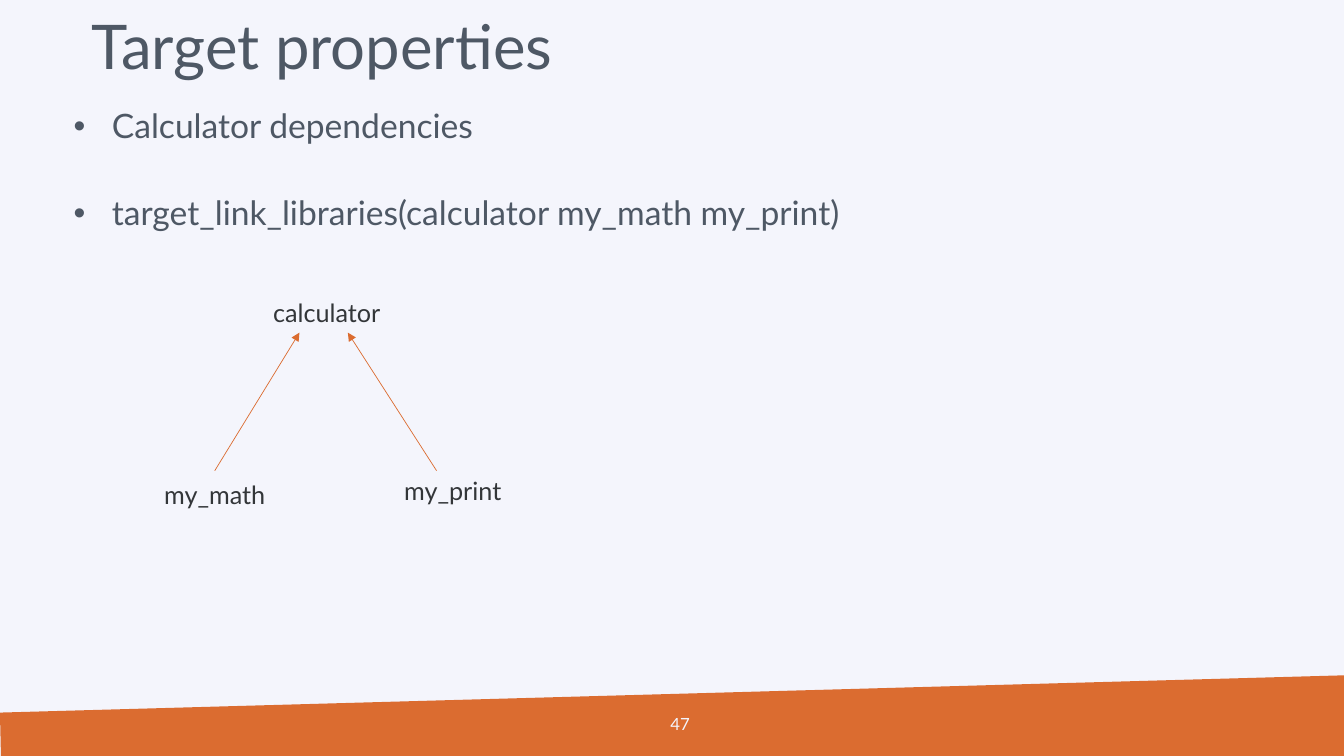
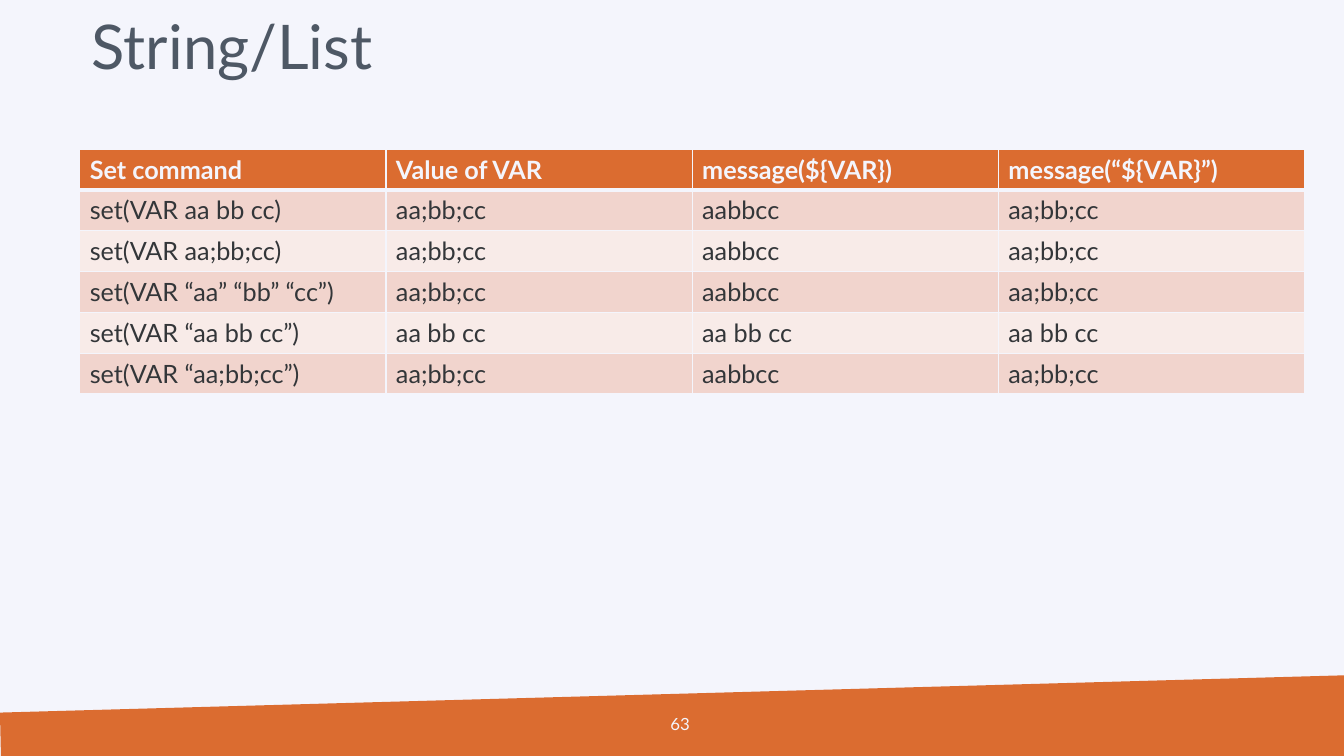
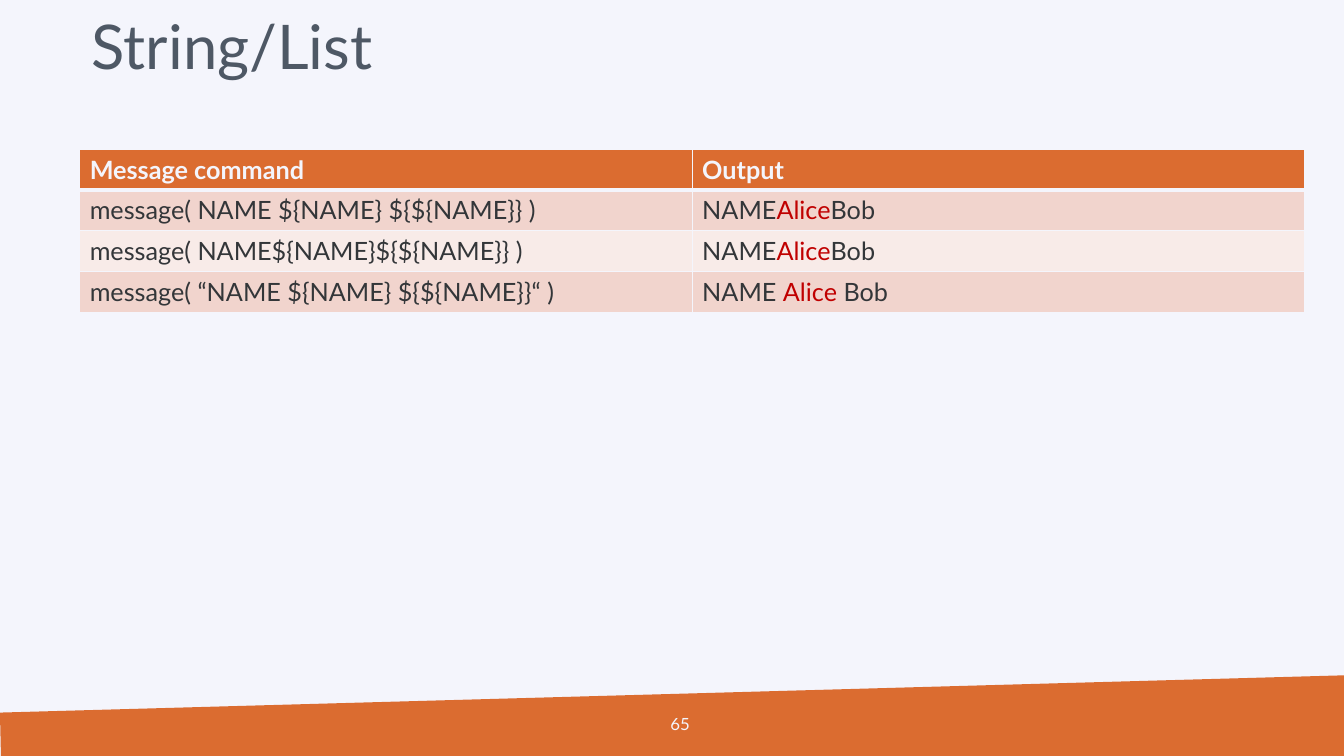
from pptx import Presentation
from pptx.dml.color import RGBColor
from pptx.enum.text import MSO_ANCHOR, MSO_AUTO_SIZE, PP_ALIGN
from pptx.enum.shapes import MSO_CONNECTOR
from pptx.oxml.ns import qn
from pptx.util import Inches, Pt
from lxml.etree import SubElement

FONT = "Lato"
PALE, ORANGE, SLATE, INK, RED = "F4F5FC", "DB6C30", "4E5865", "333639", "C00000"
BANDS = "F1D4CD", "F8EBE8"


def color(code):
    return RGBColor.from_string(code)


def place(shape, left, top, width, height):
    shape.left, shape.top = Inches(left), Inches(top)
    shape.width, shape.height = Inches(width), Inches(height)


def style(par, size, code, bold=False):
    for run in par.runs:
        run.font.name, run.font.size, run.font.bold = FONT, Pt(size), bold
        run.font.color.rgb = color(code)


def border(cell, tops, ends):
    """Line all four sides; tops and ends are the upper and lower widths."""
    props = cell._tc.get_or_add_tcPr()
    for side, width in ("lnL", 1), ("lnR", 1), ("lnT", tops), ("lnB", ends):
        line = SubElement(props, qn("a:" + side), w=str(Pt(width)))
        fill = SubElement(line, qn("a:solidFill"))
        SubElement(fill, qn("a:srgbClr"), val=PALE)


class Deck:
    def __init__(self):
        self.prs = Presentation()
        self.prs.slide_width, self.prs.slide_height = Inches(13.33), Inches(7.5)
        back = self.prs.slide_master.background.fill
        back.solid()
        back.fore_color.rgb = color(PALE)

    def add(self, title, page, layout=5):
        """Start a slide with its band, title and page number."""
        self.slide = self.prs.slides.add_slide(self.prs.slide_layouts[layout])
        self.shapes = self.slide.shapes
        self.band()
        head = self.shapes.title
        place(head, 0.81, 0, 11.5, 0.98)
        frame = head.text_frame
        frame.text = title
        frame.vertical_anchor = MSO_ANCHOR.MIDDLE
        frame.auto_size = MSO_AUTO_SIZE.NONE
        par = frame.paragraphs[0]
        par.alignment, par.line_spacing = PP_ALIGN.LEFT, 0.9
        style(par, 44, SLATE)
        num = self.label(str(page), 6.39, 6.98, 0.55, 12, PALE)
        num.vertical_anchor = MSO_ANCHOR.MIDDLE
        num.paragraphs[0].alignment = PP_ALIGN.RIGHT

    def band(self):
        pen = self.shapes.build_freeform(0, Inches(7.07), scale=1.0)
        points = (13.33, 6.7), (13.33, 7.5), (0.01, 7.5)
        pen.add_line_segments([(Inches(x), Inches(y)) for x, y in points])
        band = pen.convert_to_shape()
        band.shadow.inherit = False
        band.fill.solid()
        band.fill.fore_color.rgb = color(ORANGE)
        band.line.fill.background()

    def label(self, text, left, top, width=2.42, size=18, code=INK):
        box = self.shapes.add_textbox(0, 0, 0, 0)
        place(box, left, top, width, 0.4)
        frame = box.text_frame
        frame.word_wrap = True
        frame.text = text
        style(frame.paragraphs[0], size, code)
        return frame

    def bullets(self, items, gap):
        body = self.slide.placeholders[1]
        place(body, 0.3, 1.09, 12.59, 5.84)
        frame = body.text_frame
        frame.auto_size = MSO_AUTO_SIZE.NONE
        frame.margin_left = frame.margin_right = 0
        frame.margin_top = frame.margin_bottom = 0
        frame.text = "\n".join(items)
        for i, par in enumerate(frame.paragraphs):
            par.level, par.line_spacing = 1, 0.9
            par.space_before = Pt(gap if i else 5)
            props = par._p.get_or_add_pPr()
            props.set("marL", str(Inches(0.81)))
            props.set("indent", str(Inches(-0.38)))
            SubElement(props, qn("a:buFont"), typeface="Arial")
            SubElement(props, qn("a:buChar"), char="•")
            style(par, 24, SLATE)

    def arrow(self, start, end):
        ends = [Inches(v) for v in start + end]
        link = self.shapes.add_connector(MSO_CONNECTOR.STRAIGHT, *ends)
        link.line.color.rgb = color(ORANGE)
        link.line.width = Pt(0.5)
        SubElement(link.line._get_or_add_ln(), qn("a:tailEnd"), type="triangle")
        SubElement(link._element.spPr, qn("a:effectLst"))

    def table(self, rows):
        """A cell is a string, or a tuple of runs whose second one is red."""
        wide, high = 12.15, 0.405
        count = len(rows[0])
        grid = self.shapes.add_table(
            len(rows), count, Inches(0.79), Inches(1.48),
            Inches(wide), Inches(high * len(rows))).table
        for col in grid.columns:
            col.width = Inches(wide / count)
        for r, row in enumerate(rows):
            for c, text in enumerate(row):
                cell = grid.cell(r, c)
                border(cell, 3 if r == 1 else 1, 1 if r else 3)
                cell.fill.solid()
                fill = BANDS[(r - 1) % 2] if r else ORANGE
                cell.fill.fore_color.rgb = color(fill)
                par = cell.text_frame.paragraphs[0]
                parts = (text,) if isinstance(text, str) else text
                for part in parts:
                    par.add_run().text = part
                style(par, 18, INK if r else PALE, bold=not r)
                if len(parts) > 1:
                    par.runs[1].font.color.rgb = color(RED)


def main():
    deck = Deck()

    # Dependency tree
    deck.add("Target properties", 47, layout=1)
    deck.bullets(["Calculator dependencies",
                  "target_link_libraries(calculator my_math my_print)"], gap=36)
    deck.label("calculator", 2.61, 2.9)
    deck.arrow((2.13, 4.67), (2.97, 3.3))
    deck.arrow((4.33, 4.67), (3.45, 3.3))
    deck.label("my_math", 1.53, 4.71)
    deck.label("my_print", 3.91, 4.67)

    # Values of a list variable
    deck.add("String/List", 63)
    joined = "aa;bb;cc", "aabbcc", "aa;bb;cc"
    deck.table([
        ("Set command", "Value of VAR", "message(${VAR})", "message(“${VAR}”)"),
        ("set(VAR aa bb cc)", *joined),
        ("set(VAR aa;bb;cc)", *joined),
        ("set(VAR “aa” “bb” “cc”)", *joined),
        ("set(VAR “aa bb cc”)", *["aa bb cc"] * 3),
        ("set(VAR “aa;bb;cc”)", *joined),
    ])

    # Output of nested variables
    deck.add("String/List", 65)
    tight = "NAME", "Alice", "Bob"
    deck.table([
        ("Message command", "Output"),
        ("message( NAME ${NAME} ${${NAME}} )", tight),
        ("message( NAME${NAME}${${NAME}} )", tight),
        ("message( “NAME ${NAME} ${${NAME}}“ )", ("NAME ", "Alice ", "Bob")),
    ])

    deck.prs.save("out.pptx")


if __name__ == "__main__":
    main()
